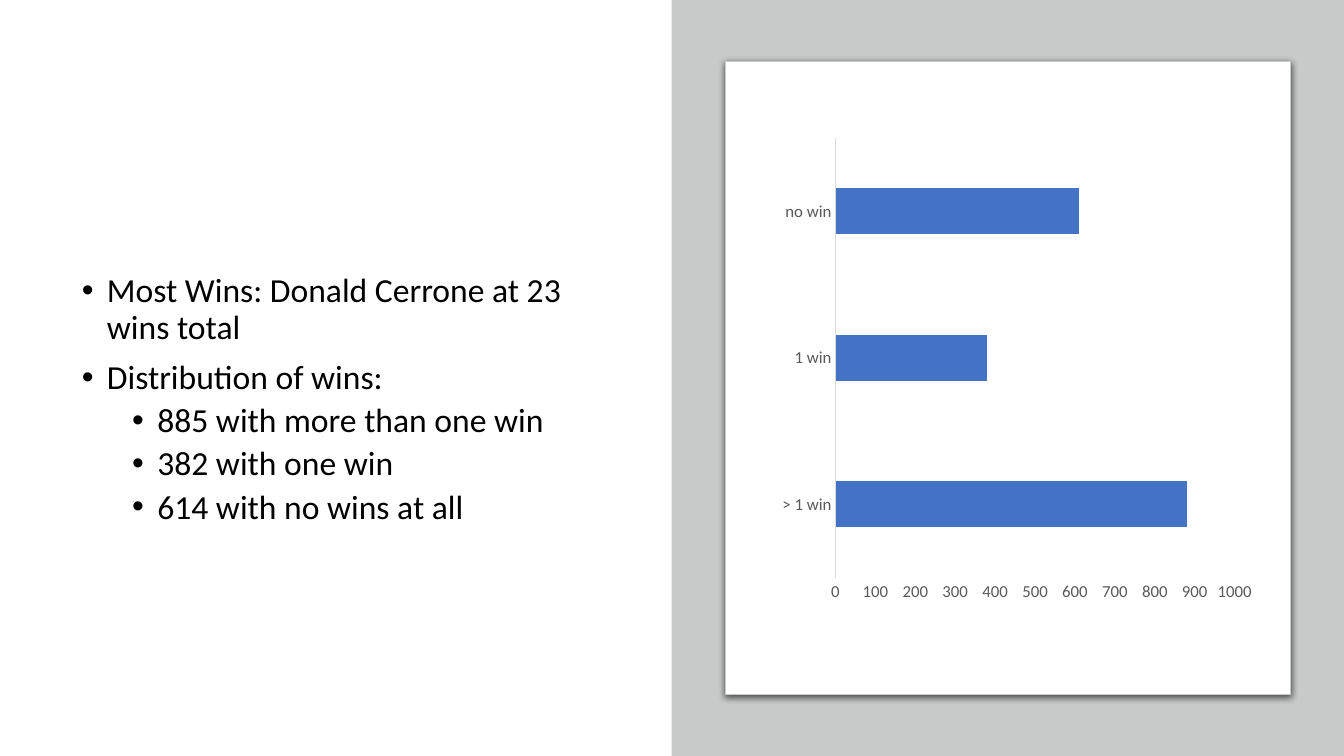
from dataclasses import dataclass

from lxml import etree
from pptx import Presentation
from pptx.chart.data import CategoryChartData
from pptx.dml.color import RGBColor
from pptx.enum.chart import XL_CHART_TYPE, XL_TICK_MARK
from pptx.enum.shapes import MSO_SHAPE
from pptx.enum.text import MSO_ANCHOR, MSO_AUTO_SIZE
from pptx.oxml import parse_xml
from pptx.oxml.ns import nsdecls, qn
from pptx.util import Pt

BAR = XL_CHART_TYPE.BAR_CLUSTERED
NO_TICK = XL_TICK_MARK.NONE
RECT, ROUND = MSO_SHAPE.RECTANGLE, MSO_SHAPE.ROUNDED_RECTANGLE
TOP, NO_FIT = MSO_ANCHOR.TOP, MSO_AUTO_SIZE.NONE
FONT = "Calibri"
BLACK, WHITE, GREY = "000000", "FFFFFF", "C8CACA"
BLUE, LABEL, RULE = "4472C4", "595959", "D9D9D9"
WINS = {"> 1 win": 880, "1 win": 380, "no win": 610}


@dataclass
class Box:
    left: float
    top: float
    width: float
    height: float

    def lengths(self):
        return Pt(self.left), Pt(self.top), Pt(self.width), Pt(self.height)


@dataclass
class Point:
    text: str
    level: int = 0


POINTS = [
    Point("Most Wins: Donald Cerrone at 23 wins total"),
    Point("Distribution of wins:"),
    Point("885 with more than one win", 1),
    Point("382 with one win", 1),
    Point("614 with no wins at all", 1),
]


def paint(target, color: str) -> None:
    """Give a fill one solid colour."""
    target.solid()
    target.fore_color.rgb = RGBColor.from_string(color)


def set_font(font, size: float, color: str) -> None:
    font.name, font.size = FONT, Pt(size)
    font.color.rgb = RGBColor.from_string(color)


def add_points(body, box: Box) -> None:
    body.left, body.top, body.width, body.height = box.lengths()
    frame = body.text_frame
    frame.word_wrap, frame.auto_size = True, NO_FIT
    frame.vertical_anchor = TOP
    for i, point in enumerate(POINTS):
        para = frame.add_paragraph() if i else frame.paragraphs[0]
        para.text, para.level = point.text, point.level
        props = para._p.get_or_add_pPr()
        props.set("marL", str(Pt(18 + 36 * point.level)))
        props.set("indent", str(-Pt(18)))
        etree.SubElement(props, qn("a:buFont"), typeface="Arial")
        etree.SubElement(props, qn("a:buChar"), char="•")
        para.line_spacing = 0.9
        para.space_before = Pt(5 if point.level else 10)
        para.space_after = Pt(0)
        set_font(para.font, 24, BLACK)


def add_panel(shapes, kind, box: Box, color: str):
    panel = shapes.add_shape(kind, *box.lengths())
    panel.shadow.inherit = False
    paint(panel.fill, color)
    panel.line.fill.background()
    return panel


def add_card(shapes, box: Box) -> None:
    card = add_panel(shapes, ROUND, box, WHITE)
    card.adjustments[0] = 0
    paint(card.line.fill, GREY)
    card.line.width = Pt(0.75)
    effects = card._element.spPr.find(qn("a:effectLst"))
    effects.append(parse_xml(
        f'<a:outerShdw {nsdecls("a")} blurRad="{Pt(4.5)}" dist="{Pt(1.5)}" '
        'dir="5400000" algn="t" rotWithShape="0"><a:srgbClr val="000000">'
        '<a:alpha val="63000"/></a:srgbClr></a:outerShdw>'))


def place_plot(chart, x: float, y: float, w: float, h: float) -> None:
    """Fix the inner plot area, in fractions of the chart."""
    area = chart._chartSpace.chart.plotArea
    for old in area.findall(qn("c:layout")):
        area.remove(old)
    layout = etree.Element(qn("c:layout"))
    manual = etree.SubElement(layout, qn("c:manualLayout"))
    parts = {"layoutTarget": "inner", "xMode": "edge", "yMode": "edge",
             "x": x, "y": y, "w": w, "h": h}
    for name, value in parts.items():
        etree.SubElement(manual, qn(f"c:{name}"), val=str(value))
    area.insert(0, layout)


def add_bars(shapes, box: Box) -> None:
    data = CategoryChartData()
    data.categories = list(WINS)
    data.add_series("Series 1", list(WINS.values()))
    chart = shapes.add_chart(BAR, *box.lengths(), data).chart
    chart.has_title = chart.has_legend = False
    set_font(chart.font, 10, BLACK)
    plot = chart.plots[0]
    plot.gap_width, plot.vary_by_categories = 219, False
    paint(plot.series[0].format.fill, BLUE)
    cats, vals = chart.category_axis, chart.value_axis
    for axis in (cats, vals):
        axis.major_tick_mark = axis.minor_tick_mark = NO_TICK
        axis.has_major_gridlines = False
        set_font(axis.tick_labels.font, 12, LABEL)
    paint(cats.format.line.fill, RULE)
    cats.format.line.width = Pt(0.75)
    vals.format.line.fill.background()
    vals.minimum_scale, vals.maximum_scale, vals.major_unit = 0, 1000, 100
    place_plot(chart, 0.15, 0.08, 0.81, 0.77)


def main() -> None:
    deck = Presentation()
    deck.slide_width, deck.slide_height = Pt(960), Pt(540)
    slide = deck.slides.add_slide(deck.slide_layouts[1])
    shapes = slide.shapes
    title = shapes.title._element
    title.getparent().remove(title)
    add_points(slide.placeholders[1], Box(51.2, 192, 390, 298))
    add_panel(shapes, RECT, Box(479.7, 0, 480.3, 540), GREY)
    add_card(shapes, Box(518, 44, 404, 452))
    add_bars(shapes, Box(544, 66, 352, 408))
    deck.save("out.pptx")


if __name__ == "__main__":
    main()
